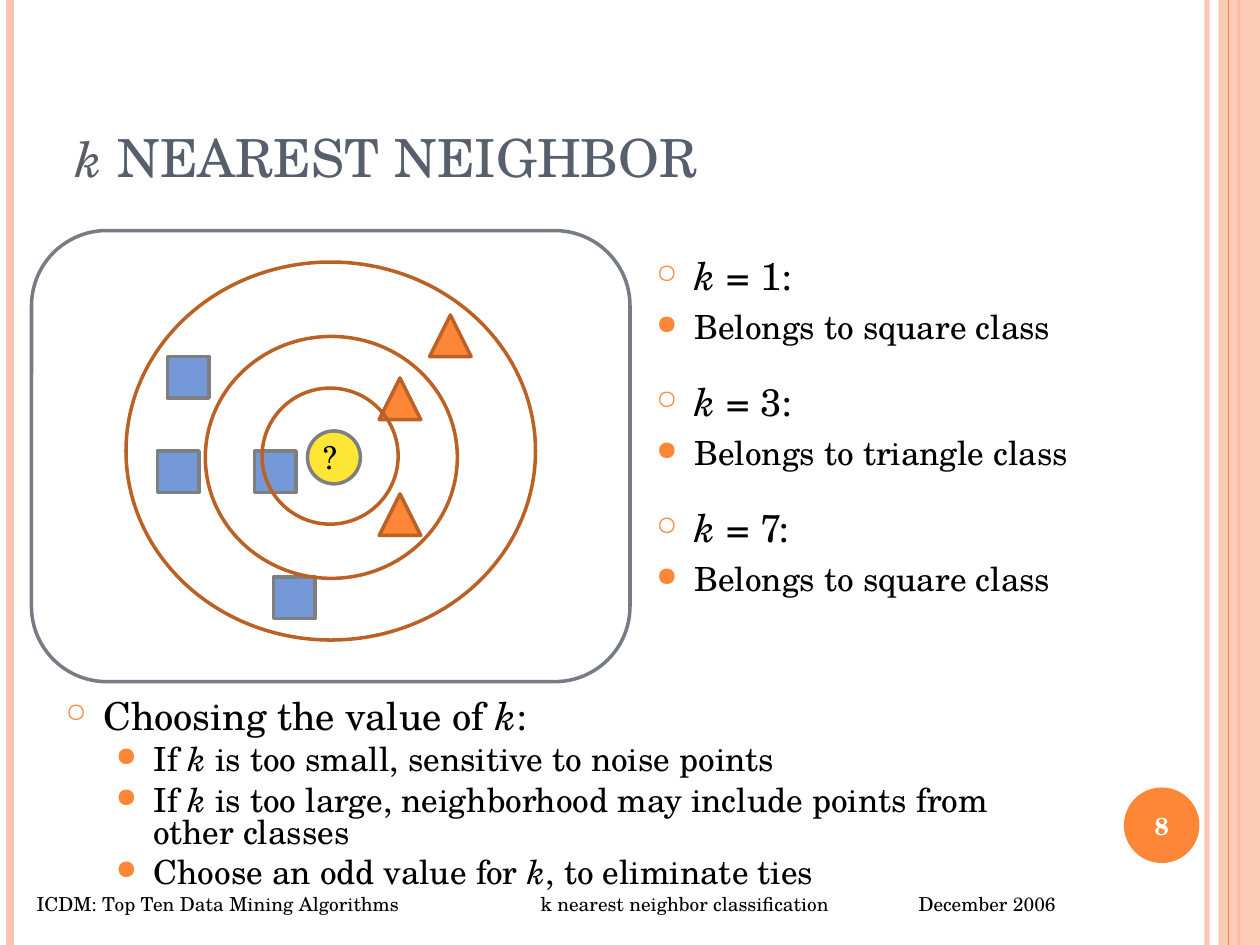
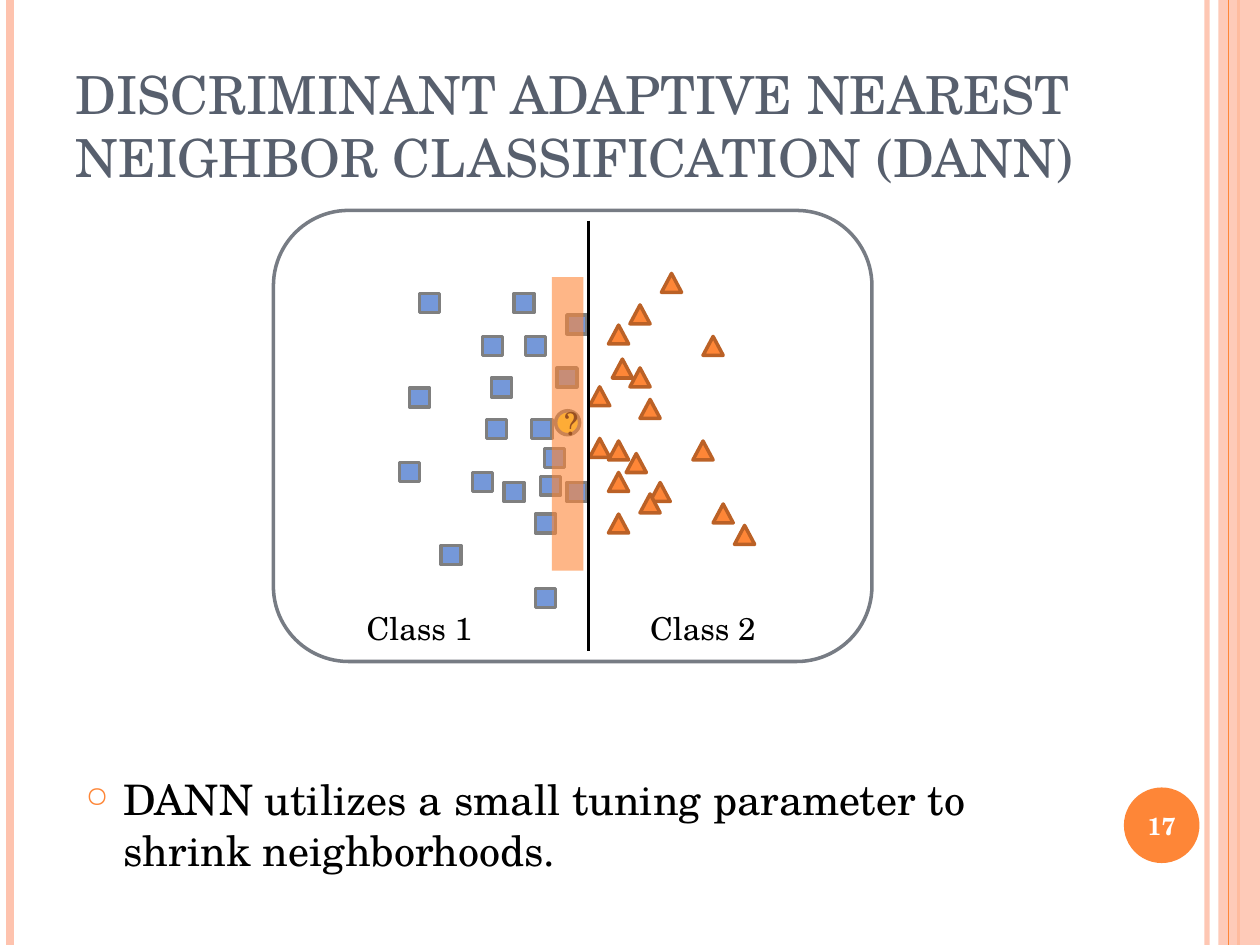
from lxml.etree import SubElement
from pptx import Presentation
from pptx.dml.color import RGBColor
from pptx.enum.shapes import MSO_CONNECTOR, MSO_SHAPE
from pptx.enum.text import MSO_ANCHOR, MSO_AUTO_SIZE, PP_ALIGN
from pptx.oxml.ns import qn
from pptx.util import Inches, Pt

FONT = "TeX Gyre Schola"
BLACK = RGBColor(0, 0, 0)
WHITE = RGBColor(255, 255, 255)
SLATE = RGBColor(0x57, 0x5F, 0x6D)
TITLE_K = RGBColor(0x59, 0x5D, 0x63)
FRAME_GRAY = RGBColor(0x77, 0x7C, 0x84)
PEACH = RGBColor(0xFE, 0xC3, 0xAE)
ORANGE = RGBColor(0xFE, 0x86, 0x37)
RUST = RGBColor(0xBB, 0x61, 0x26)
BLUE = RGBColor(0x75, 0x98, 0xD9)
GRAY = RGBColor(0x7F, 0x7F, 0x7F)
YELLOW = RGBColor(0xFF, 0xE6, 0x36)

WIDTH, HEIGHT = 10, 7.5
FRAME_SIZE = (4.75, 3.58)
BODY_INSETS = (0.06, 0.06, 0.14, 0.06)
LABEL_INSETS = (0, 0, 0.04, 0)

# Text between asterisks is italic.
KNN_TITLE = "*k* NEAREST NEIGHBOR"
KNN_ANSWERS = [("1", "square"), ("3", "triangle"), ("7", "square")]
KNN_ADVICE = [
    (0, "Choosing the value of *k*:"),
    (1, "If *k* is too small, sensitive to noise points"),
    (1, "If *k* is too large, neighborhood may include points from other classes"),
    (1, "Choose an odd value for *k*, to eliminate ties"),
]
KNN_FOOTER = ("ICDM: Top Ten Data Mining Algorithms\t\t"
              "k nearest neighbor classification\tDecember 2006")
FOOTER_TABS = (3, 4, 7)
OUTER_RING = (1, 2.08, 3.25, 3)
INNER_RINGS = [(1.63, 2.67, 2, 1.92), (2.08, 3.08, 1.08, 1.08)]
KNN_SQUARES = [(2.17, 4.58), (1.33, 2.83), (1.25, 3.58), (2.02, 3.58)]
KNN_TRIANGLES = [(3.41, 2.5), (3.01, 3.92), (3.01, 3)]

DANN_TITLE = "DISCRIMINANT ADAPTIVE NEAREST NEIGHBOR CLASSIFICATION (DANN)"
DANN_BODY = [(0, "DANN utilizes a small tuning parameter to shrink neighborhoods.")]
DANN_CLASSES = [("Class 1", 2.87), ("Class 2", 5.12)]
DANN_SQUARES = [
    (4.25, 4.67), (4.32, 3.56), (4.5, 2.5), (3.83, 2.67), (4.25, 4.08),
    (4.17, 2.67), (4, 3.83), (4.5, 3.83), (4.42, 2.92), (3.75, 3.75),
    (4.08, 2.33), (4.29, 3.78), (3.9, 3), (3.86, 3.33), (4.22, 3.33),
    (3.33, 2.33), (3.25, 3.08), (3.17, 3.67), (3.5, 4.33),
]
DANN_TRIANGLES = [
    (4.97, 3.6), (5.08, 3.17), (5, 2.92), (4.83, 3.75), (5.16, 3.83),
    (4.83, 4.08), (4.83, 2.58), (4.83, 3.5), (5.08, 3.92), (5, 2.42),
    (4.86, 2.85), (4.68, 3.48), (4.68, 3.07), (5.25, 2.17), (5.5, 3.5),
    (5.66, 4), (5.83, 4.17), (5.58, 2.67),
]

# Bullet character, its size in percent, left indent and text size by level
LEVELS = [("○", 69, 0.34, 22), ("●", 80, 0.74, 19)]


def set_alpha(parent, percent):
    color = parent.find(".//" + qn("a:srgbClr"))
    SubElement(color, qn("a:alpha"), val=str(percent * 1000))


def add_shape(slide, kind, box, fill=None, line=None, alpha=None):
    shape = slide.shapes.add_shape(kind, *map(Inches, box))
    shape.shadow.inherit = False
    if fill is None:
        shape.fill.background()
    else:
        shape.fill.solid()
        shape.fill.fore_color.rgb = fill
        if alpha:
            set_alpha(shape._element.spPr, alpha)
    if line is None:
        shape.line.fill.background()
    else:
        shape.line.color.rgb = line
        shape.line.width = Pt(2)
    return shape


def add_vertical(slide, x, top, bottom, color, width, alpha=None):
    line = slide.shapes.add_connector(
        MSO_CONNECTOR.STRAIGHT, *map(Inches, (x, top, x, bottom)))
    line.line.color.rgb = color
    line.line.width = Pt(width)
    if alpha:
        set_alpha(line._element.spPr, alpha)
    SubElement(line._element.spPr, qn("a:effectLst"))


def set_frame(frame, insets, anchor=MSO_ANCHOR.TOP, wrap=True):
    frame.auto_size = MSO_AUTO_SIZE.NONE
    frame.word_wrap = wrap
    frame.vertical_anchor = anchor
    (frame.margin_left, frame.margin_top,
     frame.margin_right, frame.margin_bottom) = map(Inches, insets)


def add_runs(paragraph, text, size, color=BLACK, bold=False):
    for index, part in enumerate(text.split("*")):
        if part:
            run = paragraph.add_run()
            run.text = part
            run.font.name = FONT
            run.font.size = Pt(size)
            run.font.color.rgb = color
            run.font.bold = bold
            run.font.italic = index % 2 == 1


def add_text(slide, box, insets, anchor=MSO_ANCHOR.TOP, wrap=True):
    frame = slide.shapes.add_textbox(*map(Inches, box)).text_frame
    set_frame(frame, insets, anchor, wrap)
    return frame


def add_bullets(frame, items, spacing=1.0, before=5, flat=False, top_size=22):
    """Fill the frame with (level, text) items; flat keeps one indent."""
    for index, (level, text) in enumerate(items):
        paragraph = frame.add_paragraph() if index else frame.paragraphs[0]
        bullet, percent, indent, size = LEVELS[level]
        properties = paragraph._p.get_or_add_pPr()
        properties.set("marL", str(Inches(LEVELS[0][2] if flat else indent)))
        properties.set("indent", str(Inches(-0.3)))
        color = SubElement(properties, qn("a:buClr"))
        SubElement(color, qn("a:srgbClr"), val=str(ORANGE))
        SubElement(properties, qn("a:buSzPct"), val=str(percent * 1000))
        SubElement(properties, qn("a:buChar"), char=bullet)
        paragraph.line_spacing = spacing
        if index:
            paragraph.space_before = Pt(before)
        add_runs(paragraph, text, size if level else top_size)


def start_slide(presentation, title_text, number):
    """Add a slide with its title, side bands and numbered badge."""
    slide = presentation.slides.add_slide(presentation.slide_layouts[5])
    add_vertical(slide, 9.58, 0, HEIGHT, PEACH, 3, alpha=93)
    add_vertical(slide, 0.08, 0, HEIGHT, PEACH, 4.5)
    add_vertical(slide, 9.83, 0, HEIGHT, ORANGE, 1.5)
    add_shape(slide, MSO_SHAPE.RECTANGLE, (9.67, 0, 0.33, HEIGHT), PEACH, alpha=87)
    add_vertical(slide, 9.75, 0, HEIGHT, ORANGE, 0.75)

    badge = add_shape(slide, MSO_SHAPE.OVAL, (8.92, 6.25, 0.6, 0.6), ORANGE).text_frame
    set_frame(badge, (0, 0, 0, 0), MSO_ANCHOR.MIDDLE, wrap=False)
    badge.paragraphs[0].alignment = PP_ALIGN.CENTER
    add_runs(badge.paragraphs[0], str(number), 14, WHITE, bold=True)

    title = slide.shapes.title
    title.left, title.top, title.width, title.height = map(Inches, (0.5, 0, 8.17, 1.55))
    set_frame(title.text_frame, (0.1, 0.06, 0.14, 0.06), MSO_ANCHOR.BOTTOM)
    paragraph = title.text_frame.paragraphs[0]
    paragraph.alignment = PP_ALIGN.LEFT
    add_runs(paragraph, title_text, 30, SLATE)
    for run in paragraph.runs:
        if run.font.italic:
            run.font.size = Pt(28)
            run.font.color.rgb = TITLE_K
    return slide


def add_plot(slide, corner, squares, triangles, mark_size):
    """Draw the rounded frame and the points of both classes."""
    add_shape(slide, MSO_SHAPE.ROUNDED_RECTANGLE, corner + FRAME_SIZE, line=FRAME_GRAY)
    for point in squares:
        add_shape(slide, MSO_SHAPE.RECTANGLE, point + mark_size, BLUE, GRAY)
    for point in triangles:
        add_shape(slide, MSO_SHAPE.ISOSCELES_TRIANGLE, point + mark_size, ORANGE, RUST)


def add_query(slide, circle, label):
    add_shape(slide, MSO_SHAPE.OVAL, circle, YELLOW, GRAY)
    frame = add_text(slide, label, (0.04, 0.04, 0.09, 0.04), MSO_ANCHOR.MIDDLE)
    frame.paragraphs[0].alignment = PP_ALIGN.CENTER
    add_runs(frame.paragraphs[0], "?", 18)


def build_knn(presentation):
    slide = start_slide(presentation, KNN_TITLE, 8)
    add_shape(slide, MSO_SHAPE.OVAL, OUTER_RING, line=RUST)
    add_plot(slide, (0.25, 1.83), KNN_SQUARES, KNN_TRIANGLES, (0.33, 0.33))
    add_query(slide, (2.44, 3.42, 0.42, 0.42), (2.5, 3.43, 0.29, 0.39))
    for ring in INNER_RINGS:
        add_shape(slide, MSO_SHAPE.OVAL, ring, line=RUST)

    for row, (k, winner) in enumerate(KNN_ANSWERS):
        frame = add_text(slide, (5.17, 2 + row, 4.26, 0.88), LABEL_INSETS)
        answer = [(0, f"*k* = {k}:"), (1, f"Belongs to {winner} class")]
        add_bullets(frame, answer, before=4.5, flat=True)
    advice = add_text(slide, (0.42, 5.5, 8.08, 2), BODY_INSETS)
    add_bullets(advice, KNN_ADVICE, spacing=0.8)

    footer = add_text(slide, (0.25, 7.08, 9.1, 0.29), (0.04, 0, 0.04, 0)).paragraphs[0]
    tabs = SubElement(footer._p.get_or_add_pPr(), qn("a:tabLst"))
    for stop in FOOTER_TABS:
        SubElement(tabs, qn("a:tab"), pos=str(Inches(stop)), algn="l")
    add_runs(footer, KNN_FOOTER, 11)


def build_dann(presentation):
    slide = start_slide(presentation, DANN_TITLE, 17)
    add_plot(slide, (2.17, 1.67), DANN_SQUARES, DANN_TRIANGLES, (0.16, 0.15))
    add_query(slide, (4.41, 3.26, 0.19, 0.19), (4.44, 3.16, 0.14, 0.39))
    add_vertical(slide, 4.67, 1.75, 5.17, BLACK, 2)
    add_shape(slide, MSO_SHAPE.RECTANGLE, (4.38, 2.2, 0.25, 2.33), ORANGE, alpha=60)
    for name, left in DANN_CLASSES:
        frame = add_text(slide, (left, 4.83, 0.93, 0.3), (0.04, 0, 0.04, 0), wrap=False)
        add_runs(frame.paragraphs[0], name, 18)
    body = add_text(slide, (0.58, 6.08, 7.92, 1.42), BODY_INSETS)
    add_bullets(body, DANN_BODY, top_size=24)


def main():
    presentation = Presentation()
    presentation.slide_width = Inches(WIDTH)
    presentation.slide_height = Inches(HEIGHT)
    build_knn(presentation)
    build_dann(presentation)
    presentation.save("out.pptx")


if __name__ == "__main__":
    main()
